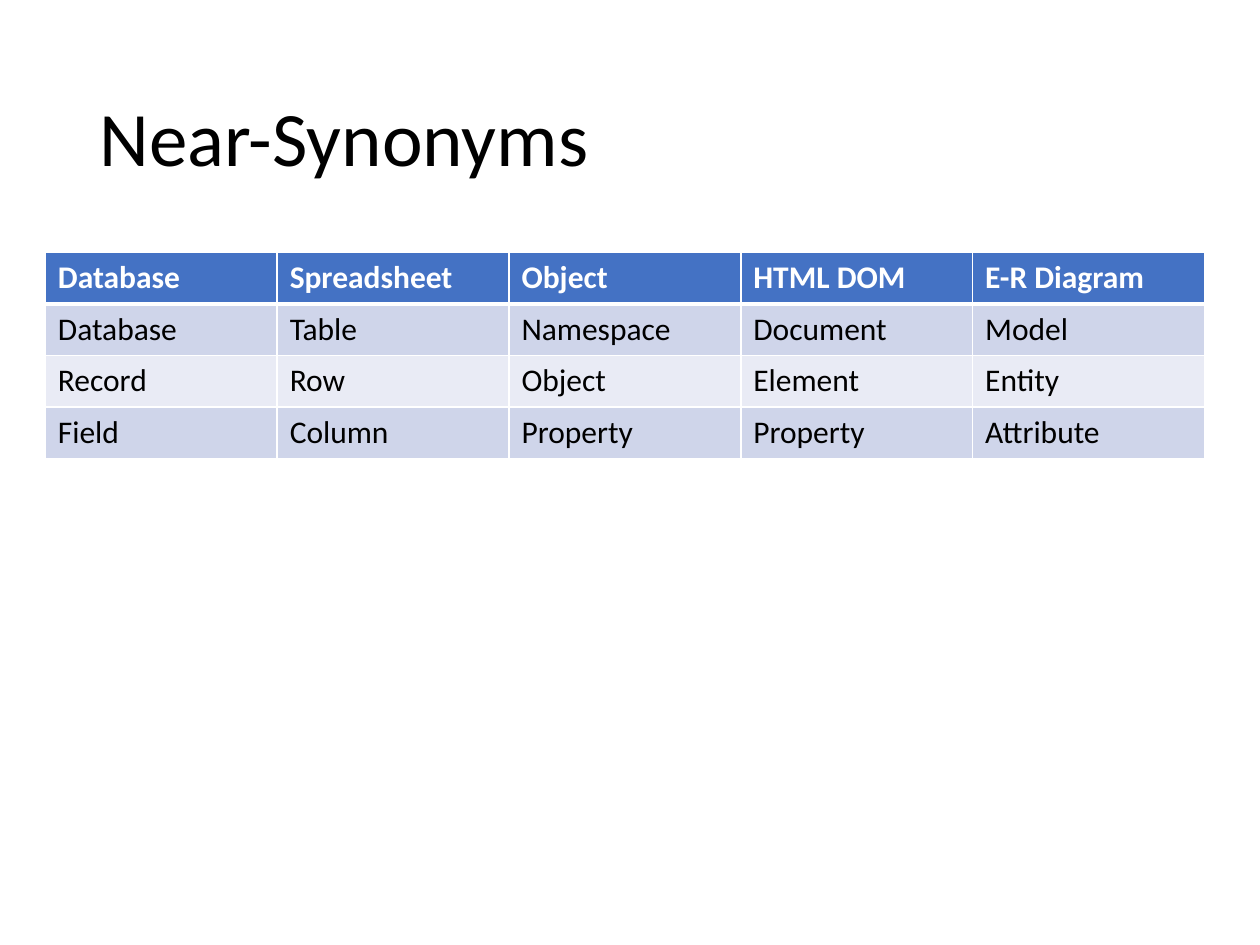
from pptx import Presentation
from pptx import util as u
from pptx.dml.color import RGBColor
from pptx.enum import text
from pptx.oxml import parse_xml
from pptx.oxml.ns import nsdecls

TITLE = "Near-Synonyms"
ROWS = [
    ["Database", "Spreadsheet", "Object", "HTML DOM", "E-R Diagram"],
    ["Database", "Table", "Namespace", "Document", "Model"],
    ["Record", "Row", "Object", "Element", "Entity"],
    ["Field", "Column", "Property", "Property", "Attribute"],
]
THEME = {
    "font": "Calibri", "title_size": 44, "table_size": 18,
    "ink": "000000", "header_ink": "FFFFFF", "header": "4472C4",
    "bands": ["CFD5EA", "E9EBF5"], "border": "FFFFFF",
    "thin": 1, "thick": 3,
}
WIDTH, HEIGHT = u.Inches(10), u.Inches(7.5)
TITLE_BOX = (0.069, 0.053, 0.862, 0.193)
TABLE_LEFT, TABLE_TOP = 0.036, 0.267
COLUMN_WIDTH, ROW_HEIGHT = u.Inches(1.84), u.Inches(0.41)


def write(frame, content, size, color, bold=False, spacing=1.0):
    paragraph = frame.paragraphs[0]
    paragraph.line_spacing = spacing
    run = paragraph.add_run()
    run.text = content
    run.font.name = THEME["font"]
    run.font.size = u.Pt(size)
    run.font.bold = bold
    run.font.color.rgb = RGBColor.from_string(color)


def add_borders(cell, widths):
    properties = cell._tc.get_or_add_tcPr()
    for index, (side, points) in enumerate(widths.items()):
        line = parse_xml(
            f'<a:ln{side} {nsdecls("a")} w="{u.Pt(points)}"><a:solidFill>'
            f'<a:srgbClr val="{THEME["border"]}"/></a:solidFill></a:ln{side}>'
        )
        properties.insert(index, line)


def add_title(slide):
    left, top, width, height = TITLE_BOX
    box = slide.shapes.add_textbox(
        int(left * WIDTH), int(top * HEIGHT), int(width * WIDTH), int(height * HEIGHT)
    )
    frame = box.text_frame
    frame.word_wrap = True
    frame.vertical_anchor = text.MSO_ANCHOR.MIDDLE
    write(frame, TITLE, THEME["title_size"], THEME["ink"], spacing=0.9)


def add_synonym_table(slide):
    columns = len(ROWS[0])
    table = slide.shapes.add_table(
        len(ROWS), columns, int(TABLE_LEFT * WIDTH), int(TABLE_TOP * HEIGHT),
        columns * COLUMN_WIDTH, len(ROWS) * ROW_HEIGHT,
    ).table
    for row_index, row in enumerate(ROWS):
        header = row_index == 0
        fill = THEME["header"] if header else THEME["bands"][(row_index - 1) % 2]
        ink = THEME["header_ink"] if header else THEME["ink"]
        borders = dict.fromkeys("LRTB", THEME["thin"])
        if row_index < 2:
            borders["B" if header else "T"] = THEME["thick"]
        for column_index, content in enumerate(row):
            cell = table.cell(row_index, column_index)
            cell.fill.solid()
            cell.fill.fore_color.rgb = RGBColor.from_string(fill)
            write(cell.text_frame, content, THEME["table_size"], ink, bold=header)
            add_borders(cell, borders)


def main():
    presentation = Presentation()
    presentation.slide_width, presentation.slide_height = WIDTH, HEIGHT
    slide = presentation.slides.add_slide(presentation.slide_layouts[6])
    add_title(slide)
    add_synonym_table(slide)
    presentation.save("out.pptx")


if __name__ == "__main__":
    main()
